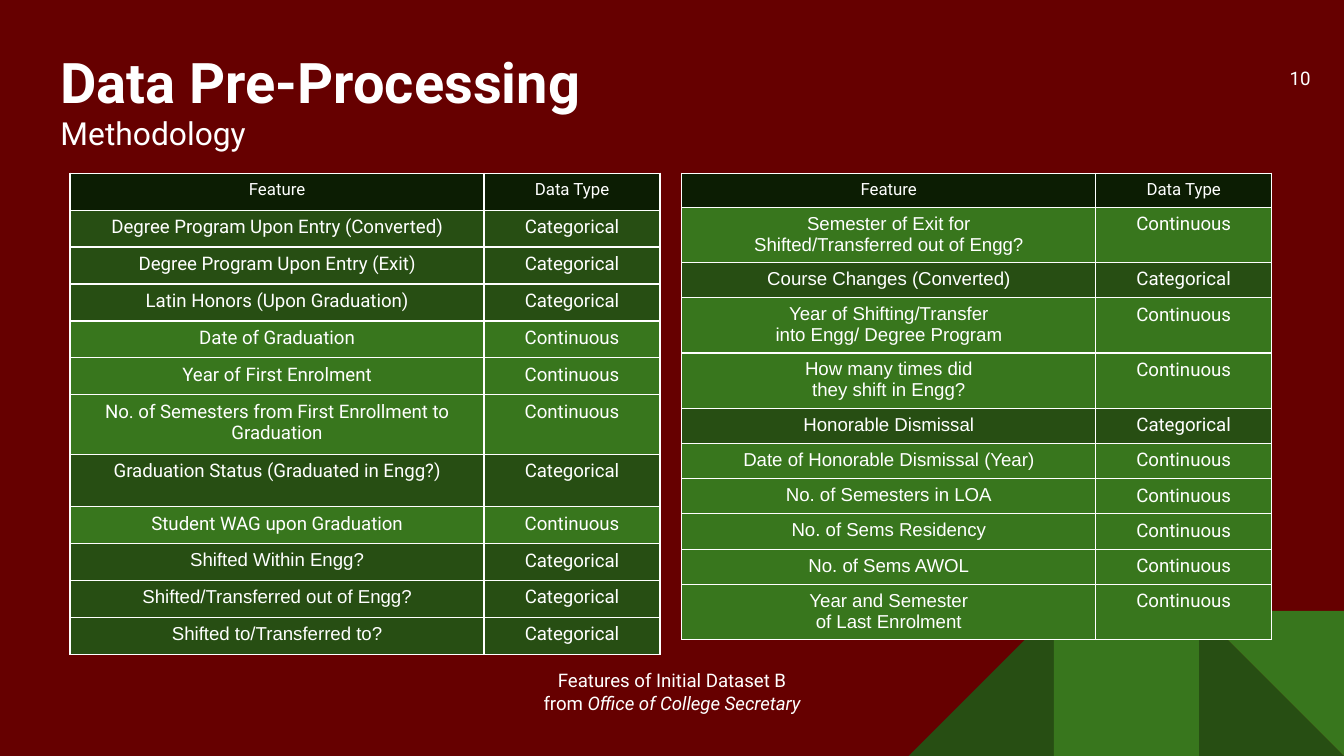
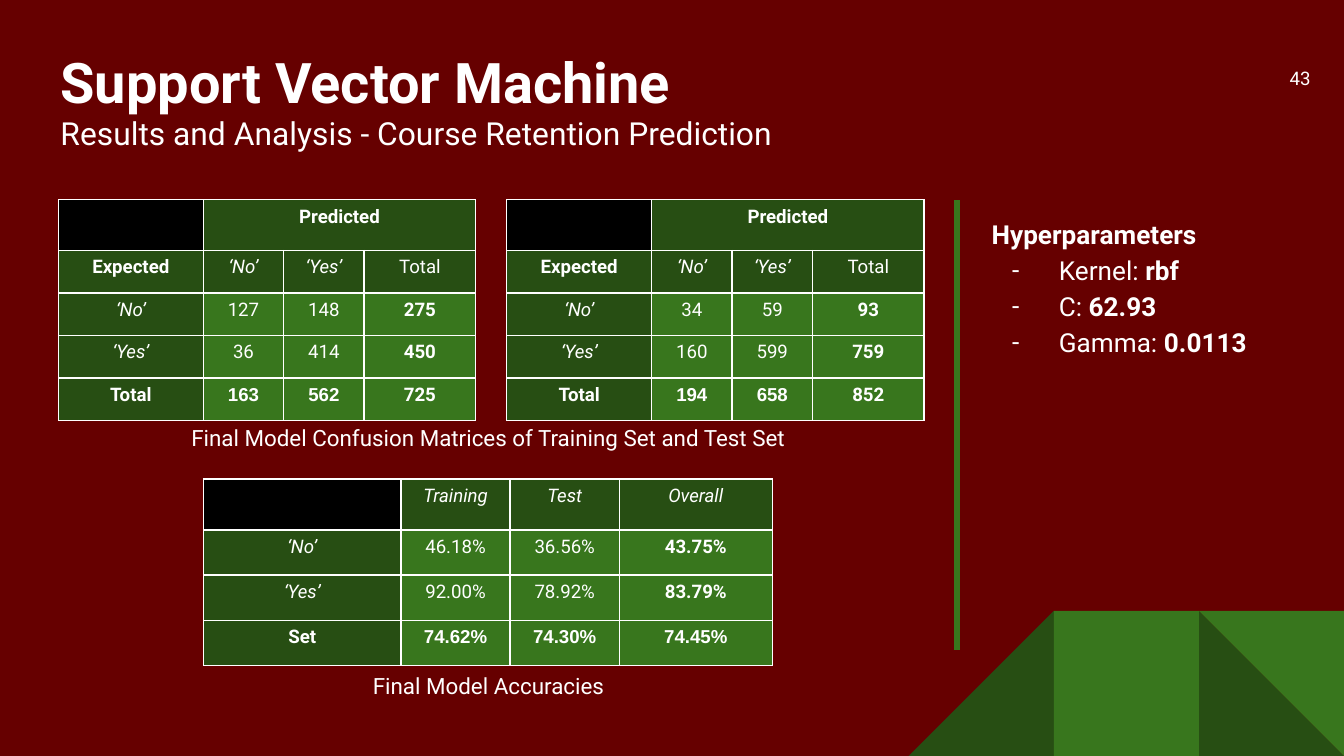
from dataclasses import dataclass
from typing import NamedTuple

from lxml import etree
from pptx import Presentation
from pptx import util as u
from pptx.dml import color
from pptx.enum import shapes, text
from pptx.oxml import ns


@dataclass(frozen=True)
class Theme:
    """Colours, fonts and type sizes used on every slide."""
    background: str = "660000"
    dark: str = "274E13"
    light: str = "38761D"
    header: str = "0C1D03"
    blank: str = "000000"
    white: str = "FFFFFF"
    font: str = "Roboto"
    cell_font: str = "Arial"
    title: float = 30
    subtitle: float = 17
    body: float = 14
    caption: float = 12
    small: float = 10
    column_head: float = 9
    inset: float = 7.2
    cell_inset: float = 3.3


class Box(NamedTuple):
    """A region of a slide in points."""
    left: float
    top: float
    width: float
    height: float

    def lengths(self):
        """Return the four sides as lengths."""
        return [u.Pt(side) for side in self]


class Run(NamedTuple):
    """A piece of text with one style."""
    content: str
    bold: bool = False
    italic: bool = False
    font: str = Theme.font


THEME = Theme()
LEFT, CENTER, RIGHT = text.PP_ALIGN.LEFT, text.PP_ALIGN.CENTER, text.PP_ALIGN.RIGHT
CATEGORICAL, CONTINUOUS = "Categorical", "Continuous"
FEATURE_COLUMNS = [221.8, 94.3]
MATRIX_COLUMNS = [77.6, 43.1, 43.1, 59.8]
ACCURACY_COLUMNS = [105.8, 58.5, 58.5, 82]

ENTRY_FEATURES = [
    (["Degree Program Upon Entry (Converted)"], CATEGORICAL, THEME.font),
    (["Degree Program Upon Entry (Exit)"], CATEGORICAL, THEME.font),
    (["Latin Honors (Upon Graduation)"], CATEGORICAL, THEME.font),
    (["Date of Graduation"], CONTINUOUS, THEME.font),
    (["Year of First Enrolment"], CONTINUOUS, THEME.font),
    (["No. of Semesters from First Enrollment to Graduation"], CONTINUOUS, THEME.font),
    (["Graduation Status (Graduated in Engg?)"], CATEGORICAL, THEME.font),
    (["Student WAG upon Graduation"], CONTINUOUS, THEME.font),
    (["Shifted Within Engg?"], CATEGORICAL, THEME.cell_font),
    (["Shifted/Transferred out of Engg?"], CATEGORICAL, THEME.cell_font),
    (["Shifted to/Transferred to?"], CATEGORICAL, THEME.cell_font),
]
EXIT_FEATURES = [(lines, kind, THEME.cell_font) for lines, kind in [
    (["Semester of Exit for", "Shifted/Transferred out of Engg?"], CONTINUOUS),
    (["Course Changes (Converted)"], CATEGORICAL),
    (["Year of Shifting/Transfer", "into Engg/ Degree Program"], CONTINUOUS),
    (["How many times did", "they shift in Engg?"], CONTINUOUS),
    (["Honorable Dismissal"], CATEGORICAL),
    (["Date of Honorable Dismissal (Year)"], CONTINUOUS),
    (["No. of Semesters in LOA"], CONTINUOUS),
    (["No. of Sems Residency"], CONTINUOUS),
    (["No. of Sems AWOL"], CONTINUOUS),
    (["Year and Semester", "of Last Enrolment"], CONTINUOUS),
]]
TRAINING_COUNTS = [["127", "148", "275"], ["36", "414", "450"], ["163", "562", "725"]]
TEST_COUNTS = [["34", "59", "93"], ["160", "599", "759"], ["194", "658", "852"]]
ACCURACIES = [["46.18%", "36.56%", "43.75%"], ["92.00%", "78.92%", "83.79%"],
              ["74.62%", "74.30%", "74.45%"]]


def rgb(value):
    """Turn a hex string into a colour."""
    return color.RGBColor.from_string(value)


def bold(content, font=THEME.font):
    """Return a bold run."""
    return Run(content, bold=True, font=font)


def italic(content):
    """Return an italic run."""
    return Run(content, italic=True)


def add_runs(paragraph, runs, size, align):
    """Write styled runs into a paragraph."""
    paragraph.alignment = align
    paragraph.space_before = u.Pt(0)
    for piece in runs:
        run = paragraph.add_run()
        run.text = piece.content
        run.font.name, run.font.size = piece.font, u.Pt(size)
        run.font.bold, run.font.italic = piece.bold, piece.italic
        run.font.color.rgb = rgb(THEME.white)


def add_paragraphs(frame, lines, align):
    """Write (size, runs) lines into a text frame and return the paragraphs."""
    for index, (size, runs) in enumerate(lines):
        paragraph = frame.add_paragraph() if index else frame.paragraphs[0]
        add_runs(paragraph, runs, size, align)
    return frame.paragraphs


def fill_text(shape, box, lines, align=LEFT, anchor=text.MSO_ANCHOR.TOP):
    """Place a text shape in its box and write its lines."""
    shape.left, shape.top, shape.width, shape.height = box.lengths()
    frame = shape.text_frame
    frame.word_wrap, frame.auto_size = True, text.MSO_AUTO_SIZE.NONE
    frame.vertical_anchor = anchor
    frame.margin_left = frame.margin_right = u.Pt(THEME.inset)
    frame.margin_top = frame.margin_bottom = u.Pt(THEME.inset)
    return add_paragraphs(frame, lines, align)


def add_label(slide, box, lines, align=CENTER, anchor=text.MSO_ANCHOR.TOP):
    """Add a text box."""
    return fill_text(slide.shapes.add_textbox(*box.lengths()), box, lines, align, anchor)


def add_corner(slide, box):
    """Draw the corner band of three squares."""
    group = slide.shapes.add_group_shape()
    side = box.height
    triangle, square = shapes.MSO_SHAPE.RIGHT_TRIANGLE, shapes.MSO_SHAPE.RECTANGLE
    for column, kind, turn, fill in [(2, triangle, 0, THEME.dark), (0, triangle, 270, THEME.dark),
                                     (1, square, 0, THEME.light), (2, triangle, 180, THEME.light)]:
        part = Box(box.left + column * side, box.top, side, side)
        shape = group.shapes.add_shape(kind, *part.lengths())
        shape.rotation = turn
        shape.shadow.inherit = False
        shape.fill.solid()
        shape.fill.fore_color.rgb = rgb(fill)
        shape.line.fill.background()


def add_base(presentation, layout, number, heading, subheading):
    """Start a slide with its band, page number and title."""
    slide = presentation.slides.add_slide(presentation.slide_layouts.get_by_name(layout))
    add_corner(slide, Box(486.8, 327.2, 233.2, 77.75))
    add_label(slide, Box(666, 26.5, 43.2, 31), [(THEME.small, [Run(number)])],
              RIGHT, text.MSO_ANCHOR.MIDDLE)
    fill_text(slide.shapes.title, Box(25.2, 18, 595.5, 75),
              [(THEME.title, [bold(heading)]), (THEME.subtitle, [Run(subheading)])])
    return slide


def add_border(cell):
    """Draw thin white lines on all sides of a cell."""
    properties = cell._tc.get_or_add_tcPr()
    for side in ("a:lnL", "a:lnR", "a:lnT", "a:lnB"):
        line = etree.SubElement(properties, ns.qn(side), w=str(u.Pt(0.75)))
        solid = etree.SubElement(line, ns.qn("a:solidFill"))
        etree.SubElement(solid, ns.qn("a:srgbClr"), val=THEME.white)


def add_grid(slide, left, top, columns, heights, rows, side_inset=0):
    """Add a table whose rows hold (fill, size, lines of runs) cells."""
    box = Box(left, top, sum(columns), sum(heights))
    table = slide.shapes.add_table(len(rows), len(columns), *box.lengths()).table
    table.first_row = table.horz_banding = False
    for column, width in zip(table.columns, columns):
        column.width = u.Pt(width)
    for row, height, cells in zip(table.rows, heights, rows):
        row.height = u.Pt(height)
        for cell, (fill, size, lines) in zip(row.cells, cells):
            add_border(cell)
            cell.fill.solid()
            cell.fill.fore_color.rgb = rgb(fill)
            cell.margin_left = cell.margin_right = u.Pt(side_inset)
            cell.margin_top = cell.margin_bottom = u.Pt(THEME.cell_inset)
            add_paragraphs(cell.text_frame, [(size, runs) for runs in lines], CENTER)
            if not lines:
                etree.SubElement(cell.text_frame.paragraphs[0]._p, ns.qn("a:endParaRPr"),
                                 sz=str(int(size * 100)))
    return table


def add_features(slide, left, top, heights, features):
    """Add a table of features, coloured by data type."""
    rows = [[(THEME.header, THEME.column_head, [[Run(name)]]) for name in ("Feature", "Data Type")]]
    for lines, kind, font in features:
        fill = THEME.dark if kind == CATEGORICAL else THEME.light
        rows.append([(fill, THEME.small, [[Run(line, font=font)] for line in lines]),
                     (fill, THEME.small, [[Run(kind)]])])
    add_grid(slide, left, top, FEATURE_COLUMNS, heights, rows, THEME.cell_inset)


def label_cell(run=None):
    """Return a dark heading cell, or a black one when it has no text."""
    return (THEME.dark, THEME.small, [[run]]) if run else (THEME.blank, THEME.small, [])


def value_rows(total, values, total_fonts):
    """Return labelled value rows with a bold last row and column."""
    rows = []
    for label, numbers in zip([italic("‘No’"), italic("‘Yes’"), bold(total)], values):
        fonts = total_fonts if label.bold else [THEME.font] * len(numbers)
        runs = [Run(number, label.bold or index == len(numbers) - 1, font=font)
                for index, (number, font) in enumerate(zip(numbers, fonts))]
        rows.append([label_cell(label)] + [(THEME.light, THEME.small, [[run]]) for run in runs])
    return rows


def add_matrix(slide, left, top, counts):
    """Add a confusion matrix."""
    span = (THEME.dark, THEME.small, [])
    rows = [[label_cell(), label_cell(bold("Predicted")), span, span],
            [label_cell(run) for run in
             (bold("Expected"), italic("‘No’"), italic("‘Yes’"), Run("Total"))]]
    rows += value_rows("Total", counts, [THEME.cell_font, THEME.cell_font, THEME.font])
    table = add_grid(slide, left, top, MATRIX_COLUMNS, [27.2] + [22.8] * 4, rows)
    table.cell(0, 1).merge(table.cell(0, 3))


def add_accuracies(slide, left, top):
    """Add the table of accuracies."""
    rows = [[label_cell()] + [label_cell(italic(name)) for name in ("Training", "Test", "Overall")]]
    rows += value_rows("Set", ACCURACIES, [THEME.cell_font] * 3)
    add_grid(slide, left, top, ACCURACY_COLUMNS, [27.3] + [24.2] * 3, rows)


def add_hyperparameters(slide, box):
    """Fill the body placeholder with the dashed list of settings."""
    settings = [("Kernel: ", "rbf"), ("C: ", "62.93"), ("Gamma: ", "0.0113")]
    lines = [[bold("Hyperparameters")]] + [[Run(name), bold(value)] for name, value in settings]
    paragraphs = fill_text(slide.placeholders[1], box, [(THEME.body, runs) for runs in lines],
                           text.PP_ALIGN.JUSTIFY)
    for index, paragraph in enumerate(paragraphs):
        paragraph.line_spacing = 1.15
        properties = paragraph._p.get_or_add_pPr()
        properties.set("marL", str(u.Pt(36 if index else 0)))
        properties.set("indent", str(u.Pt(-25 if index else 0)))
        if index:
            tint = etree.SubElement(properties, ns.qn("a:buClr"))
            etree.SubElement(tint, ns.qn("a:srgbClr"), val=THEME.white)
            etree.SubElement(properties, ns.qn("a:buFont"), typeface=THEME.font)
            etree.SubElement(properties, ns.qn("a:buChar"), char="-")
        else:
            etree.SubElement(properties, ns.qn("a:buNone"))


def add_divider(slide, left, top, bottom):
    """Draw the upright line beside the tables."""
    ends = [u.Pt(length) for length in (left, top, left, bottom)]
    divider = slide.shapes.add_connector(shapes.MSO_CONNECTOR.STRAIGHT, *ends)
    divider.line.color.rgb = rgb(THEME.light)
    divider.line.width = u.Pt(3)
    etree.SubElement(divider._element.spPr, ns.qn("a:effectLst"))


def build_features(presentation):
    """Build the slide of data set features."""
    slide = add_base(presentation, "Title Only", "10", "Data Pre-Processing", "Methodology")
    entry_heights = [19.8] * 6 + [32, 28] + [19.8] * 4
    exit_heights = [18.2] + [29.6 if len(lines) > 1 else 18.9 for lines, _, _ in EXIT_FEATURES]
    add_features(slide, 37.5, 92.8, entry_heights, ENTRY_FEATURES)
    add_features(slide, 365.2, 92.8, exit_heights, EXIT_FEATURES)
    add_label(slide, Box(218.9, 351.2, 282.2, 26),
              [(THEME.small, [Run("Features of Initial Dataset B")]),
               (THEME.small, [Run("from "), italic("Office of College Secretary")])])


def build_results(presentation):
    """Build the slide of model results."""
    slide = add_base(presentation, "Title and Content", "43", "Support Vector Machine",
                     "Results and Analysis - Course Retention Prediction")
    add_matrix(slide, 31.3, 107, TRAINING_COUNTS)
    add_matrix(slide, 271.5, 107, TEST_COUNTS)
    add_accuracies(slide, 109, 256.6)
    add_hyperparameters(slide, Box(524, 107.3, 188.6, 97.2))
    add_divider(slide, 512.6, 107.3, 348)
    for top, caption in [(220.3, "Final Model Confusion Matrices of Training Set and Test Set"),
                         (352.8, "Final Model Accuracies")]:
        add_label(slide, Box(72, top, 379.5, 45.4), [(THEME.caption, [Run(caption)])])


def main():
    """Build and save the presentation."""
    presentation = Presentation()
    presentation.slide_width, presentation.slide_height = u.Pt(720), u.Pt(405)
    fill = presentation.slide_master.background.fill
    fill.solid()
    fill.fore_color.rgb = rgb(THEME.background)
    build_features(presentation)
    build_results(presentation)
    presentation.save("out.pptx")


if __name__ == "__main__":
    main()
